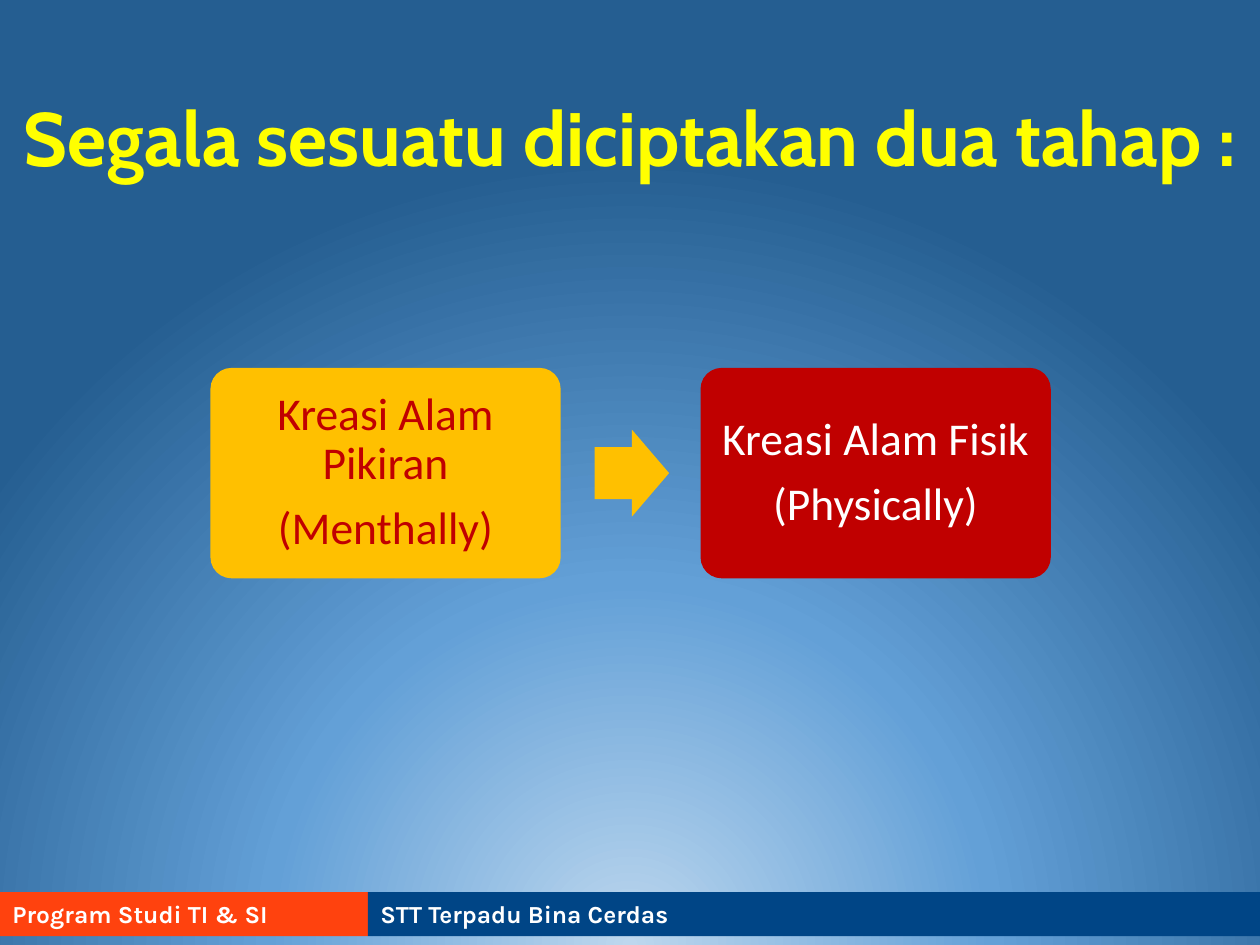
"""Build a slide showing the two stages in which everything is created."""
from dataclasses import dataclass

from pptx import Presentation
from pptx.dml.color import RGBColor
from pptx.enum.shapes import MSO_SHAPE
from pptx.enum.text import MSO_ANCHOR, PP_ALIGN
from pptx.oxml import parse_xml
from pptx.oxml.ns import nsdecls
from pptx.util import Inches, Pt

RECTANGLE = MSO_SHAPE.RECTANGLE
ROUNDED = MSO_SHAPE.ROUNDED_RECTANGLE
RIGHT_ARROW = MSO_SHAPE.RIGHT_ARROW
MIDDLE = MSO_ANCHOR.MIDDLE
LEFT, CENTER = PP_ALIGN.LEFT, PP_ALIGN.CENTER

WHITE, YELLOW, AMBER, RED = "FFFFFF", "FFFF00", "FFC000", "C00000"
BACKDROP_STOPS = ((0, "BDD7EE"), (46, "63A0D7"), (100, "255E91"))
FOOTER_TOP, FOOTER_HEIGHT = 7.08, 0.35
STAGE_TOP, STAGE_WIDTH, STAGE_HEIGHT = 2.92, 2.78, 1.67
ARROW_WIDTH, ARROW_HEIGHT = 0.59, 0.69


@dataclass(frozen=True)
class TextStyle:
    font: str
    size: float
    color: str
    bold: bool = False
    align: PP_ALIGN = CENTER
    line_spacing: float = 0.9
    space_after: float = 0


@dataclass(frozen=True)
class FooterBand:
    left: float
    width: float
    fill: str
    label: str


@dataclass(frozen=True)
class Stage:
    left: float
    fill: str
    color: str
    lines: tuple[str, ...]


FOOTER_BANDS = (
    FooterBand(0, 2.92, "FF420E", "Program Studi TI & SI"),
    FooterBand(2.92, 7.08, "004586", "STT Terpadu Bina Cerdas"),
)
STAGES = (
    Stage(1.67, AMBER, RED, ("Kreasi Alam Pikiran", "(Menthally)")),
    Stage(5.56, RED, WHITE, ("Kreasi Alam Fisik", "(Physically)")),
)


def rgb(color: str) -> RGBColor:
    """Turn a hex string into a colour."""
    return RGBColor.from_string(color)


def paint_backdrop(slide) -> None:
    """Give the slide a radial gradient glowing from below its lower edge."""
    stops = "".join(
        f'<a:gs pos="{percent * 1000}"><a:srgbClr val="{color}"/></a:gs>'
        for percent, color in BACKDROP_STOPS
    )
    backdrop = parse_xml(
        f'<p:bg {nsdecls("p", "a")}><p:bgPr><a:gradFill rotWithShape="1">'
        f'<a:gsLst>{stops}</a:gsLst><a:path path="circle">'
        '<a:fillToRect l="50000" t="130000" r="50000" b="-30000"/></a:path>'
        "</a:gradFill><a:effectLst/></p:bgPr></p:bg>"
    )
    slide.element.cSld.insert(0, backdrop)


def add_block(slide, preset: MSO_SHAPE, left: float, top: float,
              width: float, height: float, fill: str):
    """Add a flat, borderless preset shape."""
    block = slide.shapes.add_shape(
        preset, Inches(left), Inches(top), Inches(width), Inches(height))
    block.shadow.inherit = False
    block.fill.solid()
    block.fill.fore_color.rgb = rgb(fill)
    block.line.fill.background()
    return block


def write(frame, lines: tuple[str, ...], style: TextStyle,
          inset_x: float = 0.1, inset_y: float = 0.05) -> None:
    """Write vertically centred paragraphs in one style."""
    frame.word_wrap = True
    frame.vertical_anchor = MIDDLE
    frame.margin_left = frame.margin_right = Inches(inset_x)
    frame.margin_top = frame.margin_bottom = Inches(inset_y)
    for index, line in enumerate(lines):
        paragraph = frame.add_paragraph() if index else frame.paragraphs[0]
        paragraph.text = line
        paragraph.alignment = style.align
        paragraph.line_spacing = style.line_spacing
        paragraph.space_after = Pt(style.space_after)
        paragraph.font.name = style.font
        paragraph.font.size = Pt(style.size)
        paragraph.font.bold = style.bold
        paragraph.font.color.rgb = rgb(style.color)


def draw_footer_band(slide, band: FooterBand) -> None:
    """Draw one labelled band of the footer."""
    block = add_block(slide, RECTANGLE, band.left, FOOTER_TOP,
                      band.width, FOOTER_HEIGHT, band.fill)
    style = TextStyle("Karla", 14, WHITE, True, LEFT, 1.0)
    write(block.text_frame, (band.label,), style)


def draw_title(slide, title: str) -> None:
    """Draw the title across the full slide width."""
    heading = slide.shapes.add_textbox(
        Inches(0), Inches(0.4), Inches(10), Inches(1.45))
    write(heading.text_frame, (title,), TextStyle("Cabin", 43.2, YELLOW, True))


def draw_stage(slide, stage: Stage) -> None:
    """Draw one stage as a rounded card."""
    card = add_block(slide, ROUNDED, stage.left, STAGE_TOP,
                     STAGE_WIDTH, STAGE_HEIGHT, stage.fill)
    card.adjustments[0] = 0.1
    style = TextStyle("Calibri", 26, stage.color, space_after=9)
    write(card.text_frame, stage.lines, style, 0.11, 0.11)


def draw_stage_arrow(slide) -> None:
    """Draw the arrow leading from the first stage to the second."""
    top = STAGE_TOP + (STAGE_HEIGHT - ARROW_HEIGHT) / 2
    arrow = add_block(slide, RIGHT_ARROW, 4.72, top,
                      ARROW_WIDTH, ARROW_HEIGHT, AMBER)
    arrow.adjustments[0] = 0.6
    arrow.adjustments[1] = 0.5


def main() -> None:
    """Build and save the slide."""
    deck = Presentation()
    deck.slide_width, deck.slide_height = Inches(10), Inches(7.5)
    slide = deck.slides.add_slide(deck.slide_layouts[6])
    paint_backdrop(slide)
    for band in FOOTER_BANDS:
        draw_footer_band(slide, band)
    draw_title(slide, "Segala sesuatu diciptakan dua tahap :")
    for stage in STAGES:
        draw_stage(slide, stage)
    draw_stage_arrow(slide)
    deck.save("out.pptx")


if __name__ == "__main__":
    main()
